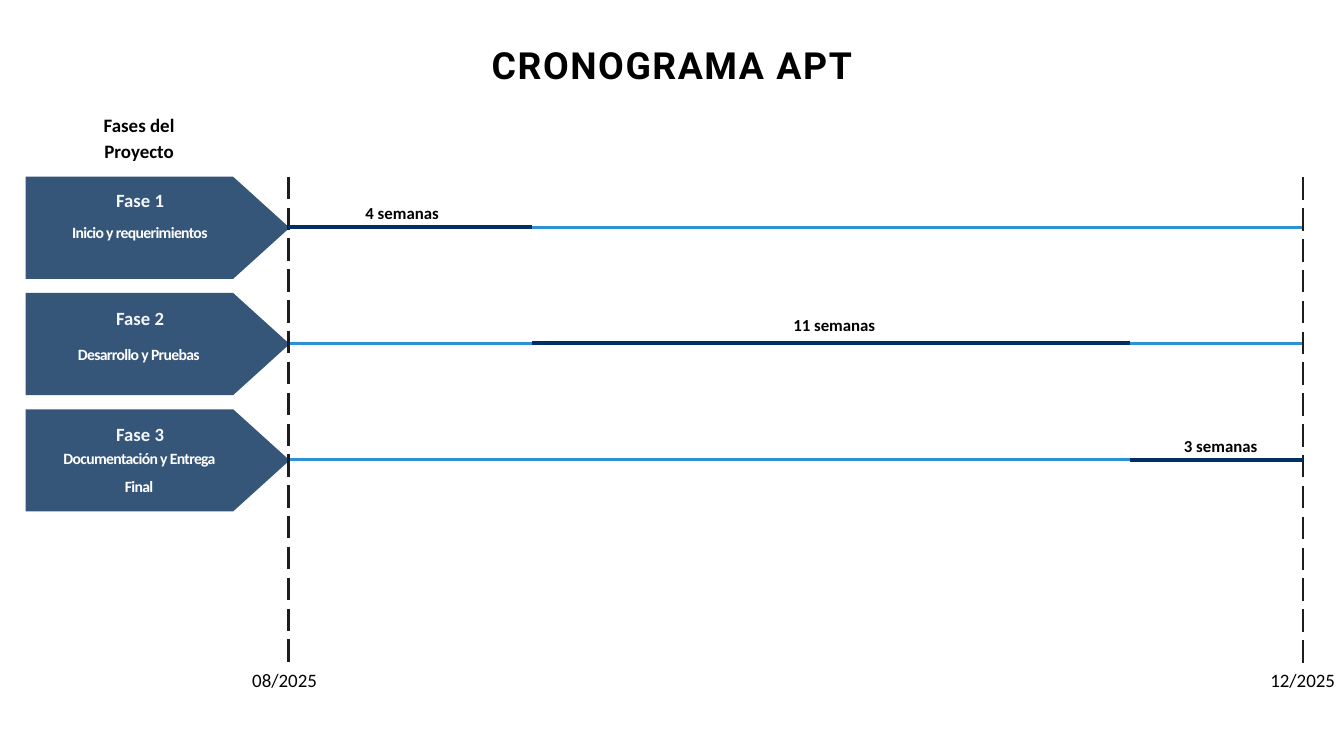
from typing import NamedTuple

from lxml import etree
from pptx import Presentation
from pptx import util as u
from pptx.dml.color import RGBColor
from pptx.enum import dml, shapes, text
from pptx.oxml.ns import qn

COLORS = {
    "arrow": "365679", "track": "2C92D5", "span": "003060", "limit": "211C1C",
    "phase": "F3F6FA", "task": "FFFFFF", "ink": "000000",
}

# Square grid: 20 columns by 11.25 rows
COLUMNS, ROWS = 20, 11.25
CELL = u.Inches(1)

START, END = 4.29, 19.39
FIRST_ROW, ROW_STEP = 2.63, 1.73
ARROW_LEFT, ARROW_NECK, ARROW_TIP = 0.38, 3.47, 4.31
ARROW_HEIGHT = 1.52
AXIS_DROP = 0.75


class Box(NamedTuple):
    column: float
    row: float
    width: float
    height: float


class Phase(NamedTuple):
    name: str
    name_row: float
    task: str
    task_box: Box
    duration: str
    duration_box: Box
    begin: float
    finish: float


class Limit(NamedTuple):
    date: str
    column: float
    row: float
    date_column: float


PHASES = [
    Phase("Fase 1", 2.75, "Inicio y requerimientos", Box(0.89, 3.17, 2.38, 0.81),
          "4 semanas", Box(5, 2.96, 1.97, 0.35), START, 7.91),
    Phase("Fase 2", 4.51, "Desarrollo y Pruebas", Box(0.56, 4.99, 3.01, 0.4),
          "11 semanas", Box(11.43, 4.64, 1.97, 0.35), 7.91, 16.81),
    Phase("Fase 3", 6.23, "Documentación y Entrega Final", Box(0.88, 6.54, 2.38, 0.82),
          "3 semanas", Box(17.18, 6.43, 1.97, 0.35), 16.81, END),
]
LIMITS = [Limit("08/2025", START, 2.63, 3.29), Limit("12/2025", END, 2.64, 18.44)]
LIMIT_HEIGHT = 7.26


def grid(cells: float) -> int:
    return round(cells * CELL)


def write(shape, content: str, box: Box, *, size: float, leading: float,
          color: str = "ink", bold: bool = True, font: str = "Calibri",
          tracking: float = 0) -> None:
    """Place a text shape on the grid and fill it with one centred paragraph."""
    shape.left, shape.top, shape.width, shape.height = map(grid, box)
    frame = shape.text_frame
    frame.word_wrap = True
    frame.auto_size = text.MSO_AUTO_SIZE.SHAPE_TO_FIT_TEXT
    frame.vertical_anchor = text.MSO_ANCHOR.TOP
    frame.margin_left = frame.margin_right = 0
    frame.margin_top = frame.margin_bottom = 0
    paragraph = frame.paragraphs[0]
    paragraph.alignment = text.PP_ALIGN.CENTER
    paragraph.line_spacing = u.Pt(leading)
    paragraph.space_before = u.Pt(0)
    run = paragraph.add_run()
    run.text = content
    run.font.size = u.Pt(size)
    run.font.name = font
    run.font.bold = bold
    run.font.color.rgb = RGBColor.from_string(COLORS[color])
    if tracking:
        run.font._element.set("spc", str(round(tracking * 100)))


def add_text(slide, content: str, box: Box, **style) -> None:
    write(slide.shapes.add_textbox(0, 0, 0, 0), content, box, **style)


def add_line(slide, x1: float, y1: float, x2: float, y2: float, *,
             color: str, width: float, dashed: bool = False) -> None:
    line = slide.shapes.add_connector(
        shapes.MSO_CONNECTOR.STRAIGHT, grid(x1), grid(y1), grid(x2), grid(y2))
    line.line.color.rgb = RGBColor.from_string(COLORS[color])
    line.line.width = u.Pt(width)
    if dashed:
        line.line.dash_style = dml.MSO_LINE.LONG_DASH
    etree.SubElement(line._element.spPr, qn("a:effectLst"))


def add_arrow(slide, top: float) -> None:
    bottom = top + ARROW_HEIGHT
    outline = [(ARROW_LEFT, top), (ARROW_LEFT, bottom), (ARROW_NECK, bottom),
               (ARROW_TIP, top + ARROW_HEIGHT / 2)]
    builder = slide.shapes.build_freeform(grid(ARROW_NECK), grid(top))
    builder.add_line_segments([(grid(x), grid(y)) for x, y in outline], close=True)
    arrow = builder.convert_to_shape()
    arrow.shadow.inherit = False
    arrow.fill.solid()
    arrow.fill.fore_color.rgb = RGBColor.from_string(COLORS["arrow"])
    arrow.line.fill.background()


def main() -> None:
    deck = Presentation()
    deck.slide_width, deck.slide_height = grid(COLUMNS), grid(ROWS)
    slide = deck.slides.add_slide(deck.slide_layouts[5])
    write(slide.shapes.title, "CRONOGRAMA APT", Box(4.09, 0.51, 11.82, 0.74),
          size=40, leading=56, font="Roboto", tracking=1.7)
    add_text(slide, "Fases del Proyecto", Box(1, 1.63, 2.14, 0.8),
             size=20.3, leading=28.4)

    tops = [FIRST_ROW + index * ROW_STEP for index in range(len(PHASES))]
    for top in tops:
        axis = top + AXIS_DROP
        add_line(slide, START, axis, END, axis, color="track", width=3)

    for phase, top in zip(PHASES, tops):
        add_arrow(slide, top)
        add_text(slide, phase.name, Box(0.58, phase.name_row, 3.01, 0.4),
                 size=20, leading=28, color="phase")
        add_text(slide, phase.task, phase.task_box,
                 size=16.8, leading=30.3, color="task", tracking=-0.7)
        add_text(slide, phase.duration, phase.duration_box, size=18, leading=25.2)

    for limit in LIMITS:
        bottom = limit.row + LIMIT_HEIGHT
        add_line(slide, limit.column, limit.row, limit.column, bottom,
                 color="limit", width=3, dashed=True)
        add_text(slide, limit.date, Box(limit.date_column, bottom, 1.89, 0.4),
                 size=20.3, leading=28.4, bold=False)

    for phase, top in zip(PHASES, tops):
        axis = top + AXIS_DROP
        add_line(slide, phase.begin, axis, phase.finish, axis, color="span", width=4.5)

    deck.save("out.pptx")


if __name__ == "__main__":
    main()
